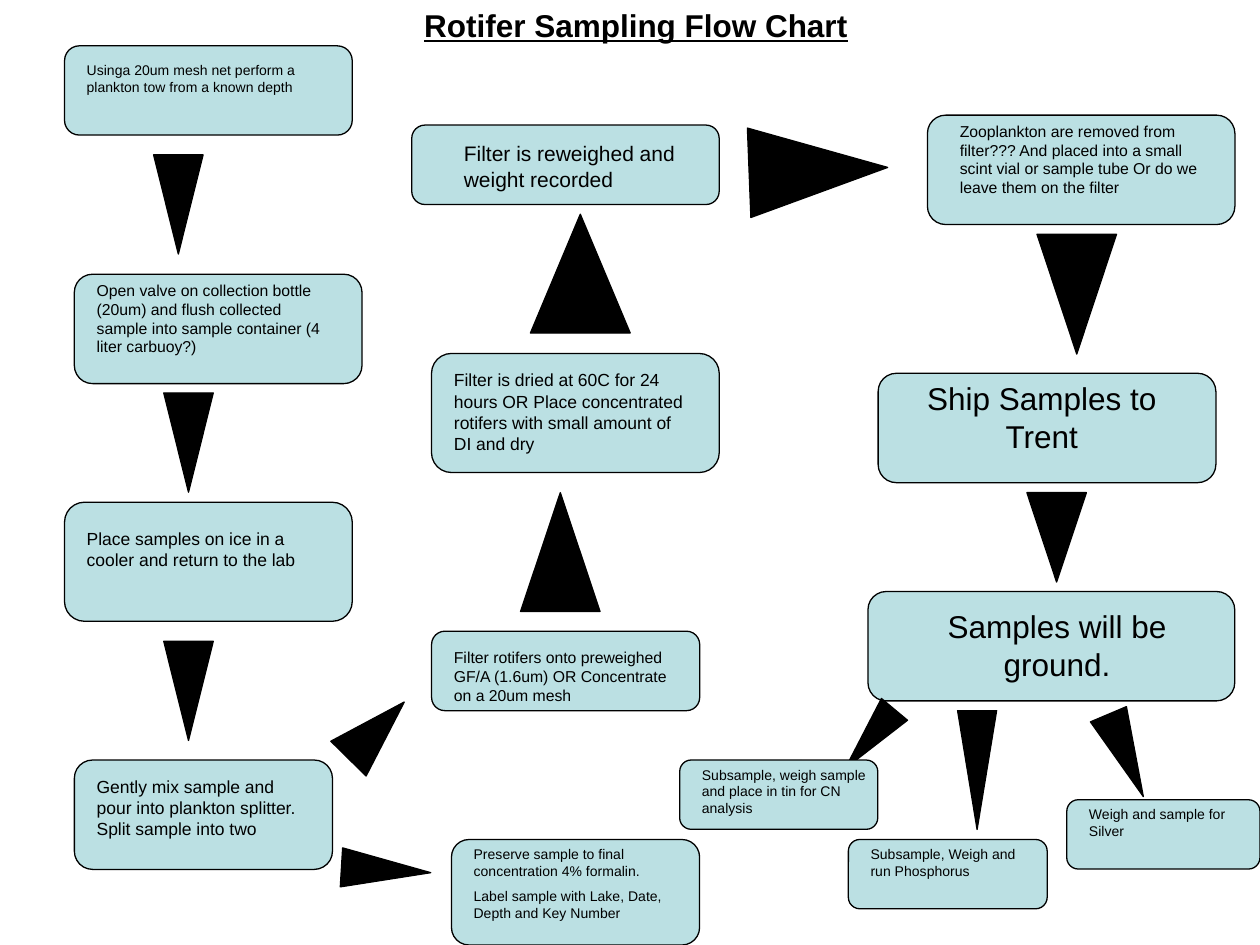
"""Build the rotifer sampling flow chart slide."""
from pptx import Presentation
from pptx.dml.color import RGBColor
from pptx.enum.shapes import MSO_SHAPE
from pptx.enum.text import PP_ALIGN
from pptx.util import Pt

STEP_BOX = MSO_SHAPE.FLOWCHART_ALTERNATE_PROCESS
DOWN = MSO_SHAPE.FLOWCHART_MERGE
UP = MSO_SHAPE.FLOWCHART_EXTRACT
LEFT, CENTER = PP_ALIGN.LEFT, PP_ALIGN.CENTER
BLACK = RGBColor(0x00, 0x00, 0x00)
PALE_TEAL = RGBColor(0xBB, 0xE0, 0xE3)
FONT = "Arial"

# Each step: box (left, top, width, height), label (left, top, width, height), size, align, text
PROCESS_STEPS = [
    ((36.9, 26.2, 164.4, 51), (42.5, 31.8, 153, 27), 8, LEFT,
     "Usinga 20um mesh net perform a plankton tow from a known depth"),
    ((42.5, 156.7, 164.4, 62.5), (48.2, 156.7, 142, 67), 9, LEFT,
     "Open valve on collection bottle (20um) and flush collected sample into "
     "sample container (4 liter carbuoy?)"),
    ((36.9, 287, 164.4, 68), (42.5, 298.2, 153, 32), 10, LEFT,
     "Place samples on ice in a cooler and return to the lab"),
    ((42.5, 434.3, 147.5, 62.5), (48.2, 440, 130.4, 43), 10, LEFT,
     "Gently mix sample and pour into plankton splitter. Split sample into two"),
    ((258, 479.7, 141.8, 60.3), (263.6, 479.7, 130.4, 50), 8, LEFT,
     "Preserve sample to final concentration 4% formalin.\n"
     "Label sample with Lake, Date, Depth and Key Number"),
    ((246.6, 360.7, 153.2, 45.4), (252.3, 366.4, 141.8, 40), 9, LEFT,
     "Filter rotifers onto preweighed GF/A (1.6um) OR Concentrate on a 20um mesh"),
    ((246.6, 202, 164.4, 68), (252.3, 207.6, 147.5, 55), 10, LEFT,
     "Filter is dried at 60C for 24 hours OR Place concentrated rotifers with "
     "small amount of DI and dry"),
    ((235.3, 71.5, 175.7, 45.4), (258, 77, 136, 80), 12, LEFT,
     "Filter is reweighed and weight recorded"),
    ((530, 65.8, 175.7, 62.5), (541.4, 65.8, 152.6, 50), 9, LEFT,
     "Zooplankton are removed from filter??? And placed into a small scint "
     "vial or sample tube Or do we leave them on the filter"),
    ((501.8, 213.3, 193, 62.5), (507.5, 213.3, 175.7, 50), 18, CENTER,
     "Ship Samples to Trent"),
    ((496, 338, 209.6, 62.5), (507.5, 343.6, 193, 50), 18, CENTER,
     "Samples will be ground."),
]
ANALYSIS_STEPS = [
    ((388.4, 434.3, 113.2, 39.6), (394, 434.3, 118.8, 36), 8, LEFT,
     "Subsample, weigh sample and place in tin for CN analysis"),
    ((484.8, 479.7, 113.6, 39.6), (490.4, 479.7, 102.2, 27), 8, LEFT,
     "Subsample, Weigh and run Phosphorus"),
    ((609.6, 457, 110.4, 39.6), (615.2, 457, 105, 27), 8, LEFT,
     "Weigh and sample for Silver"),
]
# Each arrow: kind, (left, top, width, height), rotation
ARROWS = [
    (DOWN, (87.8, 88.5, 28.3, 56.7), 0),
    (DOWN, (93.6, 224.6, 28.3, 56.7), 0),
    (DOWN, (93.6, 366.5, 28.3, 56.7), 0),
    (DOWN, (200.9, 394.6, 28.3, 45.4), 224.6),
    (DOWN, (209.5, 471.6, 22.3, 51.1), 273.4),
    (UP, (297.5, 281.5, 45.4, 67.9), 0),
    (UP, (303.1, 122.4, 57, 67.9), 0),
    (UP, (442.1, 57.6, 51.1, 79.2), 87.8),
    (DOWN, (592.6, 133.9, 45.4, 68.4), 0),
    (DOWN, (586.8, 281.5, 34, 51.1), 0),
    (DOWN, (487.4, 400.3, 19.4, 43.9), 39.8),
    (DOWN, (547.2, 406.1, 22.3, 67.9), 0),
    (DOWN, (632.2, 406.1, 22.3, 51.1), 337),
]


def points(bounds):
    """Convert a tuple of bounds to point lengths."""
    return [Pt(value) for value in bounds]


def add_outlined(shapes, kind, bounds, color):
    """Add a filled preset shape with a thin black outline."""
    outlined = shapes.add_shape(kind, *points(bounds))
    outlined.shadow.inherit = False
    outlined.fill.solid()
    outlined.fill.fore_color.rgb = color
    outlined.line.color.rgb = BLACK
    outlined.line.width = Pt(0.75)
    return outlined


def add_label(shapes, bounds, size, align, text):
    """Add a wrapped text box and return its paragraphs."""
    frame = shapes.add_textbox(*points(bounds)).text_frame
    frame.word_wrap = True
    frame.text = text
    for index, paragraph in enumerate(frame.paragraphs):
        paragraph.alignment = align
        paragraph.space_before = Pt(5 if index else 0)
        for run in paragraph.runs:
            run.font.name = FONT
            run.font.size = Pt(size)
            run.font.color.rgb = BLACK
    return frame.paragraphs


def add_step(slide, box, label, size, align, text):
    """Add a rounded step box grouped with its label."""
    step = slide.shapes.add_group_shape()
    add_outlined(step.shapes, STEP_BOX, box, PALE_TEAL)
    add_label(step.shapes, label, size, align, text)


def add_arrow(slide, kind, bounds, rotation):
    """Add a black triangle pointing to the next step."""
    add_outlined(slide.shapes, kind, bounds, BLACK).rotation = rotation


def add_title(slide):
    """Add the bold underlined title."""
    heading = add_label(slide.shapes, (235.3, 0, 323.3, 29), 18, LEFT,
                        "Rotifer Sampling Flow Chart")[0]
    for run in heading.runs:
        run.font.bold = True
        run.font.underline = True


def main():
    """Build and save the slide."""
    presentation = Presentation()
    presentation.slide_width, presentation.slide_height = Pt(720), Pt(540)
    slide = presentation.slides.add_slide(presentation.slide_layouts[6])
    for step in PROCESS_STEPS:
        add_step(slide, *step)
    for arrow in ARROWS:
        add_arrow(slide, *arrow)
    for step in ANALYSIS_STEPS:
        add_step(slide, *step)
    add_title(slide)
    presentation.save("out.pptx")


if __name__ == "__main__":
    main()
